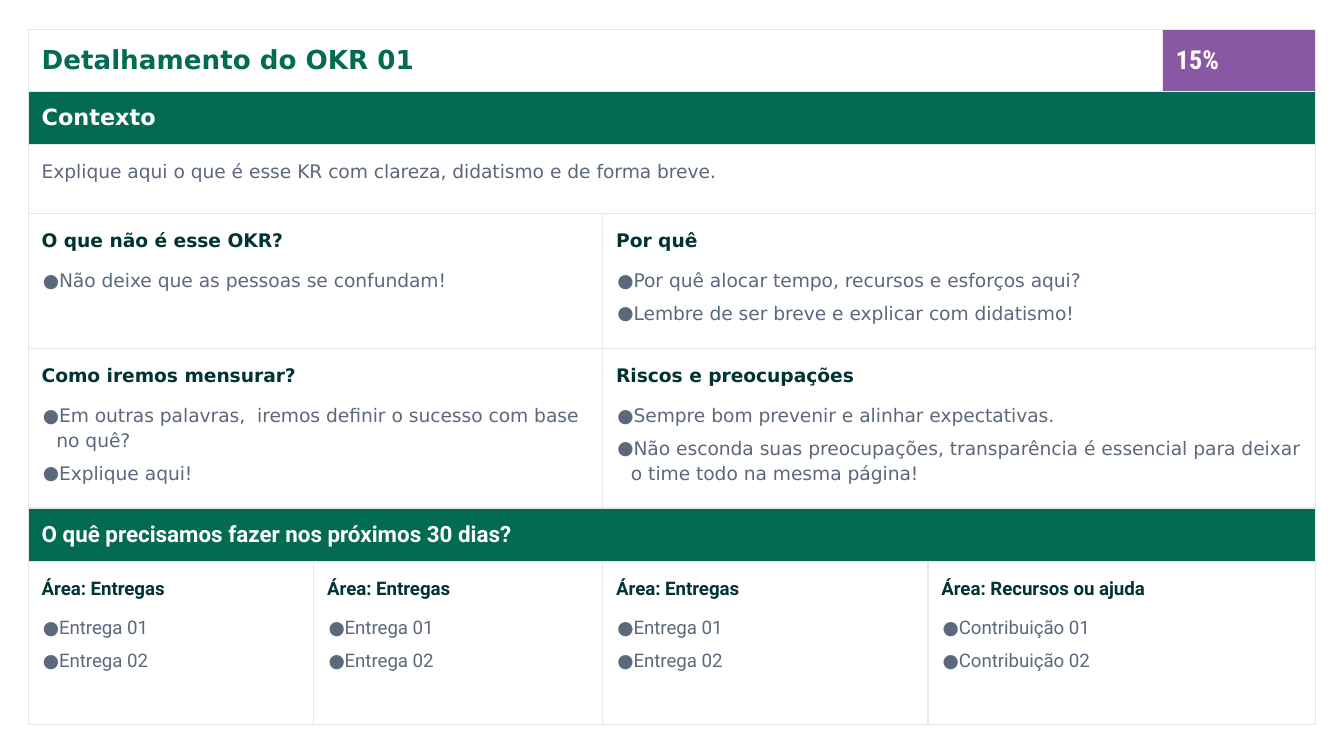
import pptx
import pptx.util
import pptx.dml.color
import pptx.enum.text
import pptx.oxml
import pptx.oxml.ns
import lxml.etree

RGBColor = pptx.dml.color.RGBColor
GREEN = RGBColor(0x03, 0x6B, 0x52)
DARK = RGBColor(0x00, 0x33, 0x33)
GREY = RGBColor(0x5C, 0x68, 0x7C)
PURPLE = RGBColor(0x89, 0x58, 0xA3)
WHITE = RGBColor(0xFF, 0xFF, 0xFF)
BORDER = RGBColor(0xE7, 0xE7, 0xE7)

deck = pptx.Presentation()
deck.slide_width = pptx.util.Inches(10)
deck.slide_height = pptx.util.Inches(5.625)
page = deck.slides.add_slide(deck.slide_layouts[6])
unit = deck.slide_width // 1000  # the grid has 1000 columns across the page


def add_grid(top, columns, rows):
    """Add a plain bordered table; all lengths are in grid units."""
    frame = page.shapes.add_table(len(rows), len(columns), 21 * unit, top * unit,
                                  int(sum(columns) * unit), int(sum(rows) * unit))
    table = frame.table
    table.first_row = table.horz_banding = False
    for column, width in zip(table.columns, columns):
        column.width = int(width * unit)
    for row, height in zip(table.rows, rows):
        row.height = int(height * unit)
    for cell in table.iter_cells():
        cell.fill.background()
        properties = cell._tc.get_or_add_tcPr()
        for position, side in enumerate(("lnL", "lnR", "lnT", "lnB")):
            properties.insert(position, pptx.oxml.parse_xml(
                f'<a:{side} {pptx.oxml.ns.nsdecls("a")} w="9525"><a:solidFill>'
                f'<a:srgbClr val="{BORDER}"/></a:solidFill></a:{side}>'))
    return table


def write_cell(table, row, first, last, lines, font, size=10, color=DARK,
               bold=True, fill=None):
    """Write a heading and its bullets into a cell that spans first to last."""
    cell = table.cell(row, first)
    if last > first:
        cell.merge(table.cell(row, last))
    for side in ("left", "right", "top", "bottom"):
        setattr(cell, f"margin_{side}", 10 * unit)
    if fill is not None:
        cell.fill.solid()
        cell.fill.fore_color.rgb = fill
        cell.vertical_anchor = pptx.enum.text.MSO_ANCHOR.MIDDLE
    for index, text in enumerate(lines):
        para = cell.text_frame.paragraphs[0] if index == 0 else cell.text_frame.add_paragraph()
        span = para.add_run()
        span.text = text
        formats = {"name": font, "size": pptx.util.Pt(size), "bold": bold and index == 0}
        for name, value in formats.items():
            setattr(span.font, name, value)
        span.font.color.rgb = color if index == 0 else GREY
        if fill is None:
            para.line_spacing = 1.15
        if index > 0:
            para.space_before = pptx.util.Pt(8 if index == 1 else 4)
            if index == len(lines) - 1:
                para.space_after = pptx.util.Pt(4)
            properties = para._p.get_or_add_pPr()
            properties.set("marL", str(11 * unit))
            properties.set("indent", str(-10 * unit))
            bullet_color = lxml.etree.SubElement(properties, pptx.oxml.ns.qn("a:buClr"))
            lxml.etree.SubElement(bullet_color, pptx.oxml.ns.qn("a:srgbClr"), val=str(GREY))
            lxml.etree.SubElement(properties, pptx.oxml.ns.qn("a:buFont"), typeface="Roboto")
            lxml.etree.SubElement(properties, pptx.oxml.ns.qn("a:buChar"), char="●")


# Details of the OKR
details = add_grid(22, [427.5, 416.5, 114], [46, 39, 51.5, 100.5, 119])
write_cell(details, 0, 0, 1, ["Detalhamento do OKR 01"], "DejaVu Sans", 14, GREEN, fill=WHITE)
write_cell(details, 0, 2, 2, ["15%"], "Roboto Condensed", 14, WHITE, fill=PURPLE)
write_cell(details, 1, 0, 2, ["Contexto"], "DejaVu Sans", 12, WHITE, fill=GREEN)
write_cell(details, 2, 0, 2,
           ["Explique aqui o que é esse KR com clareza, didatismo e de forma breve."],
           "DejaVu Sans", color=GREY, bold=False)

# Four questions, two to a row
questions = [
    ["O que não é esse OKR?", "Não deixe que as pessoas se confundam!"],
    ["Por quê", "Por quê alocar tempo, recursos e esforços aqui?",
     "Lembre de ser breve e explicar com didatismo!"],
    ["Como iremos mensurar?",
     "Em outras palavras,  iremos definir o sucesso com base no quê?", "Explique aqui!"],
    ["Riscos e preocupações", "Sempre bom prevenir e alinhar expectativas.",
     "Não esconda suas preocupações, transparência é essencial para deixar "
     "o time todo na mesma página!"],
]
for index, lines in enumerate(questions):
    row, side = divmod(index, 2)
    write_cell(details, 3 + row, side, 2 * side, lines, "DejaVu Sans")

# Plan for the next 30 days
plan = add_grid(378, [212.5, 215, 242, 288.5], [39, 121.5])
write_cell(plan, 0, 0, 3, ["O quê precisamos fazer nos próximos 30 dias?"], "Roboto",
           12, WHITE, fill=GREEN)
areas = [("Entregas", "Entrega")] * 3 + [("Recursos ou ajuda", "Contribuição")]
for column, (area, item) in enumerate(areas):
    write_cell(plan, 1, column, column, [f"Área: {area}", f"{item} 01", f"{item} 02"], "Roboto")

deck.save("out.pptx")
